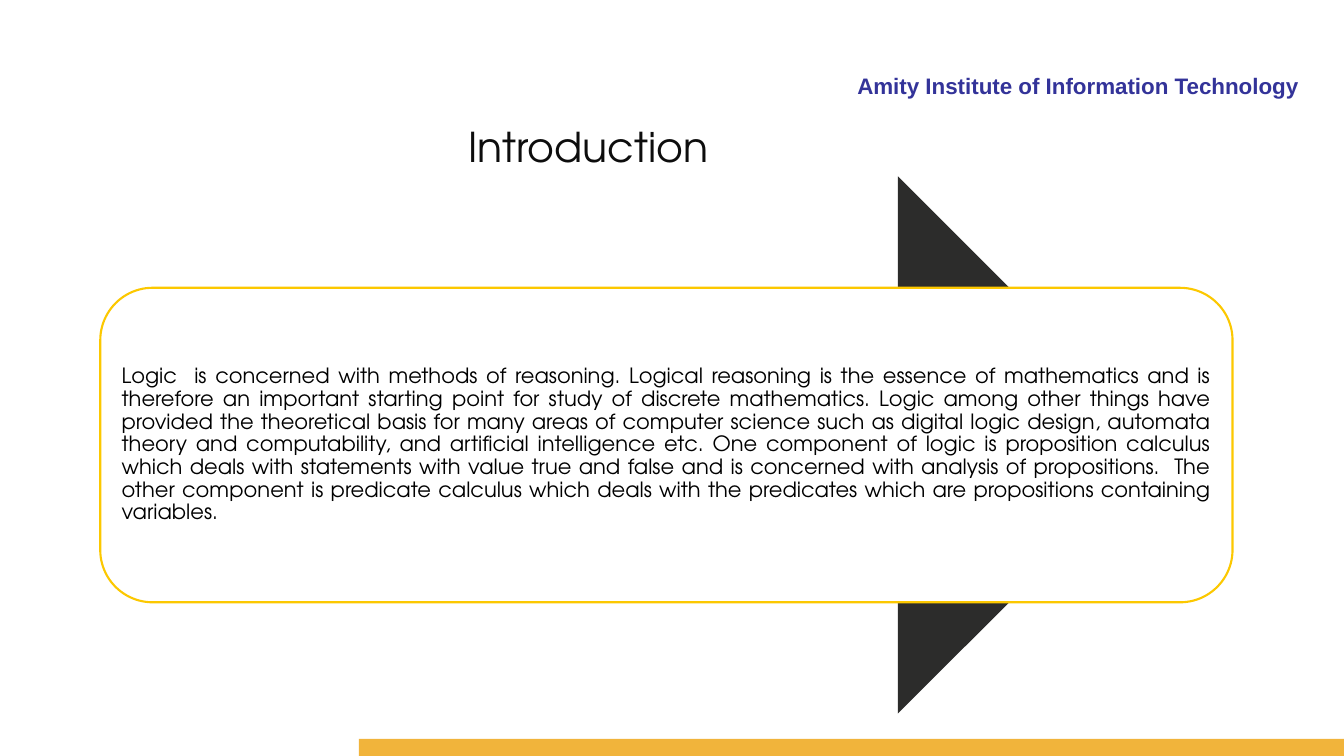
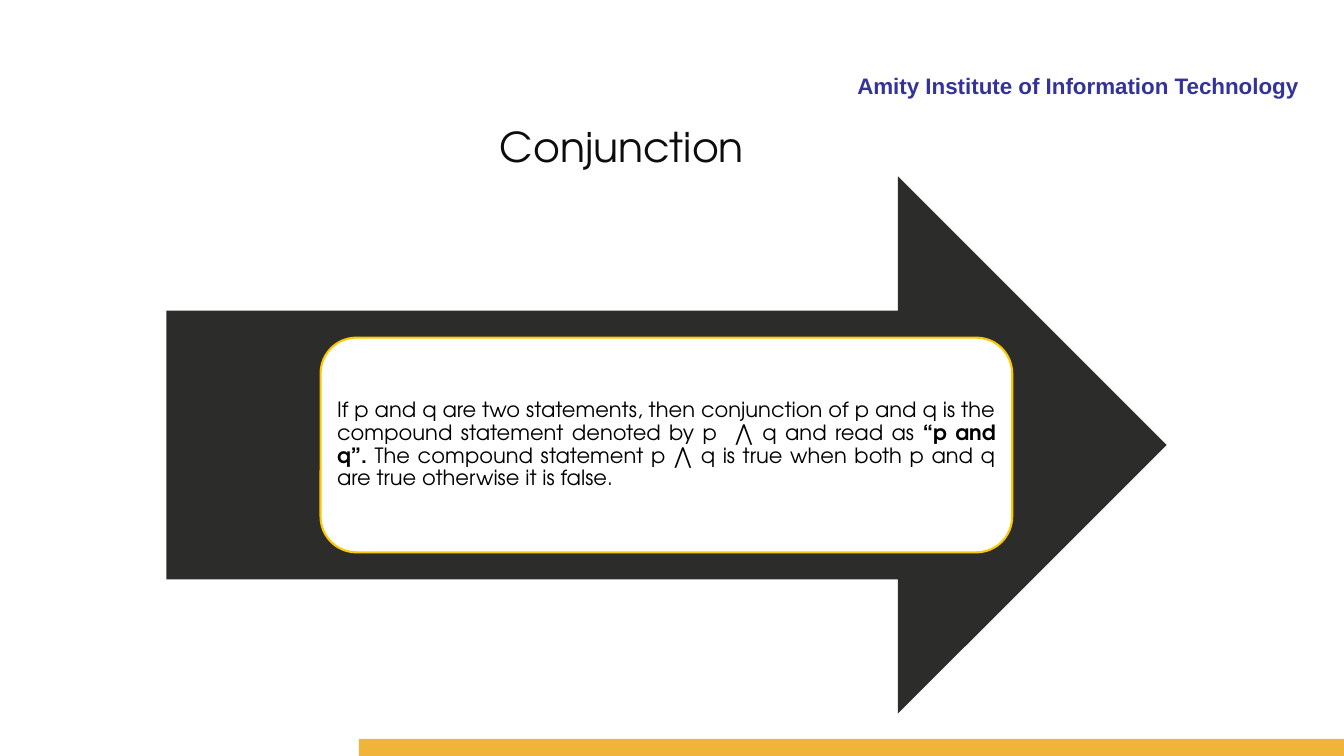
from pptx import Presentation
from pptx.dml.color import RGBColor
from pptx.enum import shapes, text
from pptx.util import Inches, Pt

SLIDE_W, SLIDE_H = 13.33, 7.5
BODY_FONT, HEADER_FONT = "TeX Gyre Adventor", "Arial"
NAVY, AMBER, CHARCOAL, YELLOW = "333399", "F1B43B", "2C2C2B", "FCC800"
WHITE, BLACK, TITLE_INK = "FFFFFF", "000000", "0D0D0D"
ARROW = (1.65, 1.75, 9.92, 5.33)


def color(hex_value):
    return RGBColor.from_string(hex_value)


def write(frame, runs, size, ink, font=BODY_FONT, align=text.PP_ALIGN.LEFT,
          line_spacing=None):
    """Fill the frame with one paragraph of (wording, bold) runs."""
    paragraph = frame.paragraphs[0]
    paragraph.alignment = align
    paragraph.line_spacing = line_spacing
    for wording, bold in runs:
        run = paragraph.add_run()
        run.text = wording
        run.font.name = font
        run.font.size = Pt(size)
        run.font.bold = bold
        run.font.color.rgb = color(ink)


class Deck:
    def __init__(self):
        self.presentation = Presentation()
        self.presentation.slide_width = Inches(SLIDE_W)
        self.presentation.slide_height = Inches(SLIDE_H)
        self.slide = None

    def start_slide(self):
        """Add a blank slide with the institute header and the footer band."""
        layout = self.presentation.slide_layouts[6]
        self.slide = self.presentation.slides.add_slide(layout)
        self.label((5.09, 0.67, 7.89, 0.33), "Amity Institute of Information Technology",
                   size=16, ink=NAVY, font=HEADER_FONT, bold=True,
                   align=text.PP_ALIGN.RIGHT)
        self.shape(shapes.MSO_SHAPE.RECTANGLE,
                   (3.56, 7.33, SLIDE_W - 3.56, 0.17), AMBER)

    def label(self, box, wording, wrap=True, bold=False, **style):
        frame = self.slide.shapes.add_textbox(*map(Inches, box)).text_frame
        frame.word_wrap = wrap
        write(frame, [(wording, bold)], **style)

    def title(self, left, width, wording):
        self.label((left, 1.16, width, 0.59), wording, wrap=False,
                   size=29.3, ink=TITLE_INK)

    def shape(self, kind, box, fill, line=None):
        shape = self.slide.shapes.add_shape(kind, *map(Inches, box))
        shape.shadow.inherit = False
        shape.fill.solid()
        shape.fill.fore_color.rgb = color(fill)
        if line:
            shape.line.color.rgb = color(line)
            shape.line.width = Pt(1.5)
        else:
            shape.line.fill.background()
        return shape

    def arrow_card(self, width, height, runs):
        """Draw the arrow with a text card centred on it."""
        self.shape(shapes.MSO_SHAPE.RIGHT_ARROW, ARROW, CHARCOAL)
        left, top, arrow_width, arrow_height = ARROW
        box = (left + (arrow_width - width) / 2,
               top + (arrow_height - height) / 2, width, height)
        card = self.shape(shapes.MSO_SHAPE.ROUNDED_RECTANGLE, box, WHITE, YELLOW)
        frame = card.text_frame
        frame.word_wrap = True
        frame.vertical_anchor = text.MSO_ANCHOR.MIDDLE
        frame.margin_left = frame.margin_right = Inches(0.06)
        frame.margin_top = frame.margin_bottom = Inches(0.06)
        write(frame, runs, size=15, ink=BLACK,
              align=text.PP_ALIGN.JUSTIFY, line_spacing=0.9)


def main():
    deck = Deck()

    deck.start_slide()
    deck.title(4.55, 2.62, "Introduction")
    deck.arrow_card(11.23, 3.12, [(
        "Logic  is concerned with methods of reasoning. Logical reasoning is the "
        "essence of mathematics and is therefore an important starting point for "
        "study of discrete mathematics. Logic among other things have provided the "
        "theoretical basis for many areas of computer science such as digital logic "
        "design, automata theory and computability, and artificial intelligence etc. "
        "One component of logic is proposition calculus which deals with statements "
        "with value true and false and is concerned with analysis of propositions.  "
        "The other component is predicate calculus which deals with the predicates "
        "which are propositions containing variables.", False)])

    deck.start_slide()
    deck.title(4.86, 2.65, "Conjunction")
    deck.arrow_card(6.86, 2.13, [
        ("If p and q are two statements, then conjunction of p and q is the compound "
         "statement denoted by p  ⋀ q and read as ", False),
        ("“p and q”. ", True),
        ("The compound statement p ⋀ q is true when both p and q are true otherwise "
         "it is false. ", False)])

    deck.presentation.save("out.pptx")


if __name__ == "__main__":
    main()
